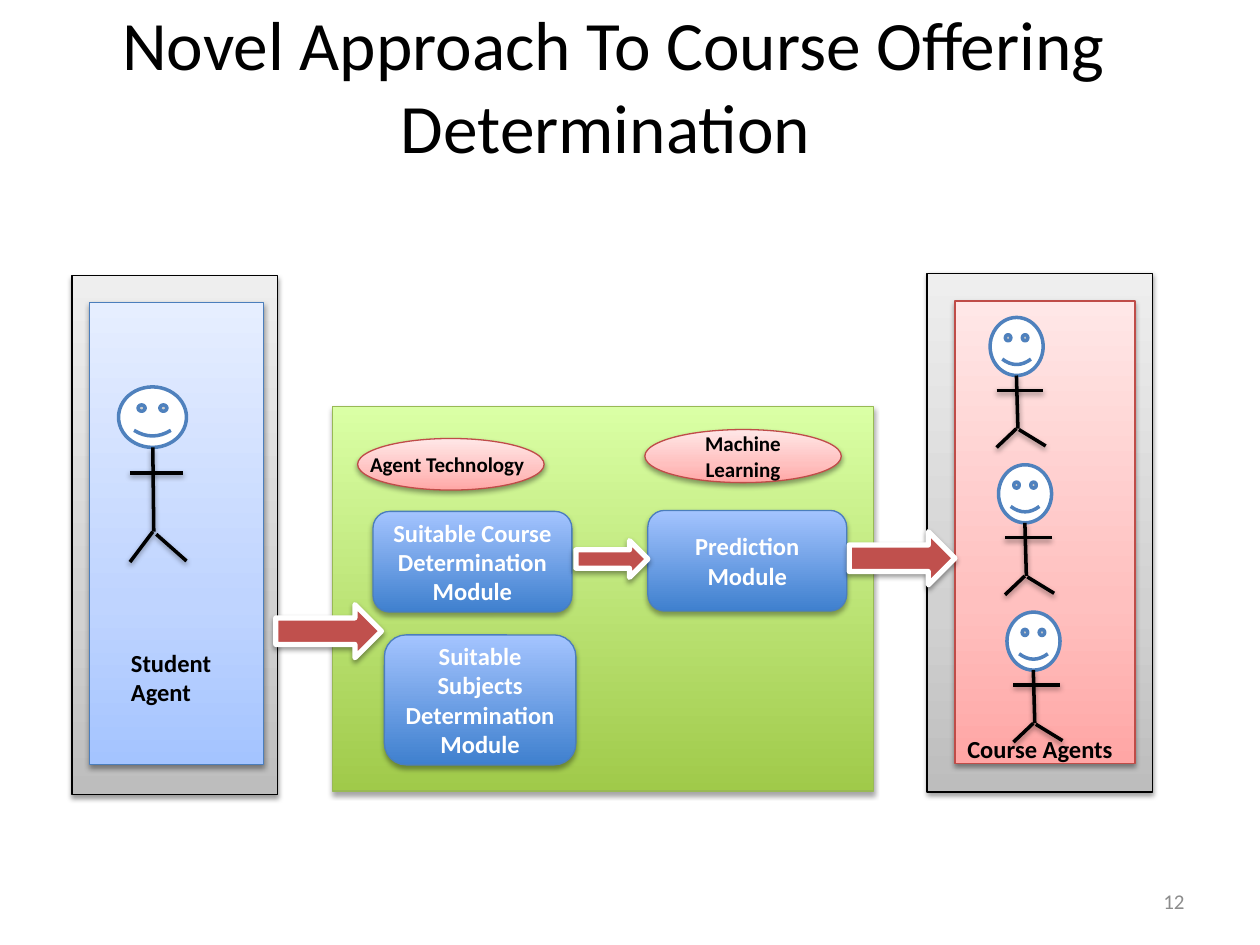
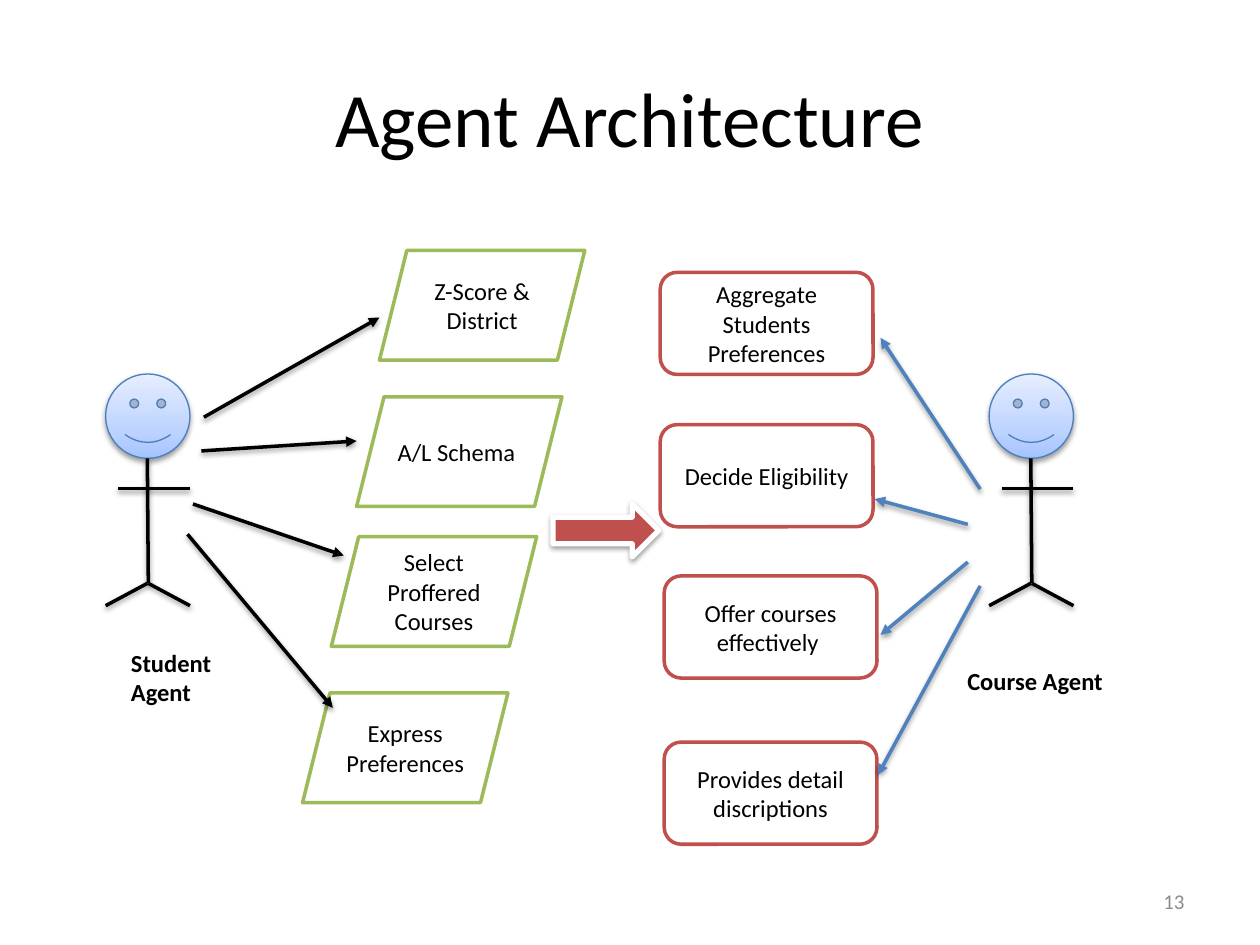
from copy import deepcopy

from lxml.etree import SubElement
from pptx import Presentation
from pptx.dml.color import RGBColor
from pptx.enum.shapes import MSO_CONNECTOR, MSO_SHAPE as SHAPE
from pptx.enum.text import MSO_ANCHOR as ANCHOR, PP_ALIGN as ALIGN
from pptx.oxml.ns import qn
from pptx.util import Cm, Pt

FONT = "Calibri"
BLACK, WHITE, GREY = "000000", "FFFFFF", "8C8C8C"
BLUE, RED, GREEN = "4F81BD", "C0504D", "9BBB59"

# Gradients run from bottom to top: (position, colour)
PALE_GREY = [(0, "BDBDBD"), (0.35, "D1D1D1"), (1, "EEEEEE")]
PALE_BLUE = [(0, "A4C4FF"), (0.35, "BFD4FF"), (1, "E6EEFF")]
PALE_RED = [(0, "FFA6A5"), (0.35, "FFC0BF"), (1, "FFE7E7")]
STRONG_BLUE = [(0, "3F80CE"), (1, "A4C4FF")]
STRONG_GREEN = [(0, "A0CA4A"), (1, "DAFFA5")]
BLUE_EDGE, RED_EDGE, GREEN_EDGE = "4B7EBC", "BF4C48", "98B955"

# Limbs as x1, y1, x2, y2 from the head's top left: body, arms, two legs
STUDENT_LIMBS = [(0.69, 1.22, 0.71, 2.92), (0.23, 1.73, 1.3, 1.73),
                 (0.69, 2.92, 0.23, 3.53), (0.76, 2.97, 1.37, 3.51)]
COURSE_LIMBS = [(0.53, 1.17, 0.56, 2.24), (0.13, 1.47, 1.07, 1.47),
                (0.53, 2.24, 0.13, 2.62), (0.58, 2.26, 1.12, 2.59)]
LARGE_LIMBS = [(0.84, 1.7, 0.86, 4.22), (0.25, 2.31, 1.7, 2.31),
               (0.84, 4.22, 0, 4.67), (0.86, 4.22, 1.7, 4.67)]


def rgb(value):
    return RGBColor.from_string(value)


def add_shadow(effects, alpha=38, dist=1.6):
    """Put a soft downward shadow into an a:effectLst element."""
    shadow = SubElement(effects, qn("a:outerShdw"), blurRad=str(Pt(3.1)),
                        dist=str(Pt(dist)), dir="5400000", rotWithShape="0")
    color = SubElement(shadow, qn("a:srgbClr"), val=BLACK)
    SubElement(color, qn("a:alpha"), val=str(alpha * 1000))


def fill_shape(sp, fill):
    """Fill with one colour, or with a list of gradient stops."""
    if isinstance(fill, str):
        sp.fill.solid()
        sp.fill.fore_color.rgb = rgb(fill)
        return
    sp.fill.gradient()
    sp.fill.gradient_angle = 90
    first = next(sp._element.spPr.iter(qn("a:gs")))
    for _ in fill[2:]:
        first.addnext(deepcopy(first))
    for stop, (position, color) in zip(sp.fill.gradient_stops, fill):
        stop.position = position
        stop.color.rgb = rgb(color)


def write(sp, text, size, color=BLACK, bold=False, align=ALIGN.CENTER,
          anchor=ANCHOR.MIDDLE):
    tf = sp.text_frame
    tf.word_wrap = True
    tf.vertical_anchor = anchor
    p = tf.paragraphs[0]
    p.text = text
    p.alignment = align
    p.font.name = FONT
    p.font.size = Pt(size)
    p.font.bold = bold
    p.font.color.rgb = rgb(color)


def add_box(shapes, kind, x, y, w, h, fill, line, width=0.75, shadow=True):
    sp = shapes.add_shape(kind, Cm(x), Cm(y), Cm(w), Cm(h))
    fill_shape(sp, fill)
    sp.line.color.rgb = rgb(line)
    sp.line.width = Pt(width)
    sp.shadow.inherit = False
    if shadow:
        effects = sp._element.spPr.find(qn("a:effectLst"))
        strong = fill in (STRONG_BLUE, STRONG_GREEN)
        add_shadow(effects, *((35, 1.8) if strong else (38, 1.6)))
    return sp


def add_text(s, text, x, y, w, h, size, **style):
    write(s.shapes.add_textbox(Cm(x), Cm(y), Cm(w), Cm(h)), text, size, **style)


def add_label(s, text, x, y, w, h, size=14):
    add_text(s, text, x, y, w, h, size, bold=True, align=ALIGN.LEFT,
             anchor=ANCHOR.TOP)


def add_line(shapes, x1, y1, x2, y2, color=BLACK, arrow=False):
    line = shapes.add_connector(MSO_CONNECTOR.STRAIGHT,
                                Cm(x1), Cm(y1), Cm(x2), Cm(y2))
    line.line.color.rgb = rgb(color)
    line.line.width = Pt(2)
    spPr = line._element.spPr
    if arrow:
        SubElement(spPr.find(qn("a:ln")), qn("a:tailEnd"), type="triangle")
    add_shadow(SubElement(spPr, qn("a:effectLst")))


def add_figure(s, x, y, w, h, limbs, **head):
    """Group a smiling head with its stick body."""
    shapes = s.shapes.add_group_shape().shapes
    add_box(shapes, SHAPE.SMILEY_FACE, x, y, w, h, **head)
    for x1, y1, x2, y2 in limbs:
        add_line(shapes, x + x1, y + y1, x + x2, y + y2)


def add_block_arrow(s, x, y, w=2.13, h=1.07):
    add_box(s.shapes, SHAPE.RIGHT_ARROW, x, y, w, h, RED, WHITE, 3)


def add_module(s, text, x, y, w=4.01, h=2.03):
    sp = add_box(s.shapes, SHAPE.ROUNDED_RECTANGLE, x, y, w, h,
                 STRONG_BLUE, BLUE_EDGE)
    write(sp, text, 14, WHITE, bold=True)


def add_step(s, kind, text, x, y, w, h, line):
    sp = add_box(s.shapes, kind, x, y, w, h, WHITE, line, 2, shadow=False)
    write(sp, text, 14)


def new_slide(prs, title, number, x=1.27, y=0.76, size=44):
    s = prs.slides.add_slide(prs.slide_layouts[6])
    add_text(s, title, x, y, 22.86, 3.18, size)
    add_text(s, number, 18.21, 17.65, 5.92, 1.02, 12, color=GREY,
             align=ALIGN.RIGHT)
    return s


def build_approach(prs):
    s = new_slide(prs, "Novel Approach To Course Offering Determination ", "12",
                  x=0.94, y=0.11, size=39.6)
    for x, y, w, h, fill, line in [
        (6.71, 8.2, 10.9, 7.75, STRONG_GREEN, GREEN_EDGE),
        (1.45, 5.56, 4.14, 10.46, PALE_GREY, BLACK),
        (1.8, 6.1, 3.51, 9.32, PALE_BLUE, BLUE_EDGE),
        (18.69, 5.51, 4.55, 10.46, PALE_GREY, BLACK),
        (19.25, 6.07, 3.63, 9.32, PALE_RED, RED_EDGE),
    ]:
        add_box(s.shapes, SHAPE.RECTANGLE, x, y, w, h, fill, line)

    head = dict(fill=WHITE, line=BLUE, width=2, shadow=False)
    add_figure(s, 2.39, 7.8, 1.37, 1.22, STUDENT_LIMBS, **head)
    for i in range(3):
        add_figure(s, 19.96 + 0.17 * i, 6.4 + 2.97 * i, 1.07, 1.17,
                   COURSE_LIMBS, **head)

    add_box(s.shapes, SHAPE.OVAL, 7.21, 8.84, 3.76, 1.04, PALE_RED, RED_EDGE)
    add_label(s, "Agent Technology", 7.21, 8.97, 3.76, 0.76, size=12)
    learning = add_box(s.shapes, SHAPE.OVAL, 13, 8.66, 3.96, 1.07,
                       PALE_RED, RED_EDGE)
    write(learning, "Machine Learning", 12, bold=True)
    add_label(s, "Student Agent", 2.39, 12.93, 2.57, 1.45)
    add_label(s, "Course Agents", 19.25, 14.68, 4.55, 0.86)

    add_module(s, "Suitable Course Determination Module", 7.52, 10.31)
    add_module(s, "Prediction Module", 13.06, 10.29)
    add_block_arrow(s, 5.56, 12.19)
    add_block_arrow(s, 11.61, 10.9, 1.45, 0.74)
    add_block_arrow(s, 17.12, 10.72)
    add_module(s, "Suitable Subjects Determination Module",
               7.75, 12.8, 3.86, 2.62)


def build_architecture(prs):
    s = new_slide(prs, "Agent Architecture", "13")
    for x in (2.13, 19.94):
        add_figure(s, x, 7.54, 1.7, 1.7, LARGE_LIMBS,
                   fill=PALE_BLUE, line=BLUE_EDGE)
    add_label(s, "Student Agent", 2.39, 12.93, 2.57, 1.45)
    add_label(s, "Course Agent", 19.25, 13.31, 4.55, 0.86)

    # Each step: text, its left and top, then the arrow that leads to it
    student_steps = [
        ("Z-Score & District", 7.65, 5.05, (4.11, 8.41, 7.65, 6.4)),
        ("A/L Schema ", 7.19, 8, (4.06, 9.09, 7.19, 8.89)),
        ("Select Proffered Courses", 6.68, 10.82, (3.89, 10.16, 6.93, 11.2)),
        ("Express Preferences", 6.1, 13.97, (3.78, 10.77, 6.71, 14.27)),
    ]
    course_steps = [
        ("Aggregate Students Preferences", 13.31, 5.49,
         (19.76, 9.86, 17.75, 6.81)),
        ("Decide Eligibility", 13.31, 8.56, (19.51, 10.57, 17.63, 10.06)),
        ("Offer courses effectively ", 13.39, 11.61,
         (19.51, 11.33, 17.75, 12.8)),
        ("Provides detail discriptions", 13.39, 14.96,
         (19.76, 11.81, 17.7, 15.62)),
    ]
    for steps, kind, w, h, edge, arrow_color in [
        (student_steps, SHAPE.PARALLELOGRAM, 4.14, 2.21, GREEN, BLACK),
        (course_steps, SHAPE.ROUNDED_RECTANGLE, 4.29, 2.06, RED, BLUE),
    ]:
        for text, x, y, arrow in steps:
            add_step(s, kind, text, x, y, w, h, edge)
            add_line(s.shapes, *arrow, color=arrow_color, arrow=True)
    add_block_arrow(s, 11.15, 10.16)


def main():
    prs = Presentation()
    prs.slide_width, prs.slide_height = Cm(25.4), Cm(19.05)
    build_approach(prs)
    build_architecture(prs)
    prs.save("out.pptx")


if __name__ == "__main__":
    main()
